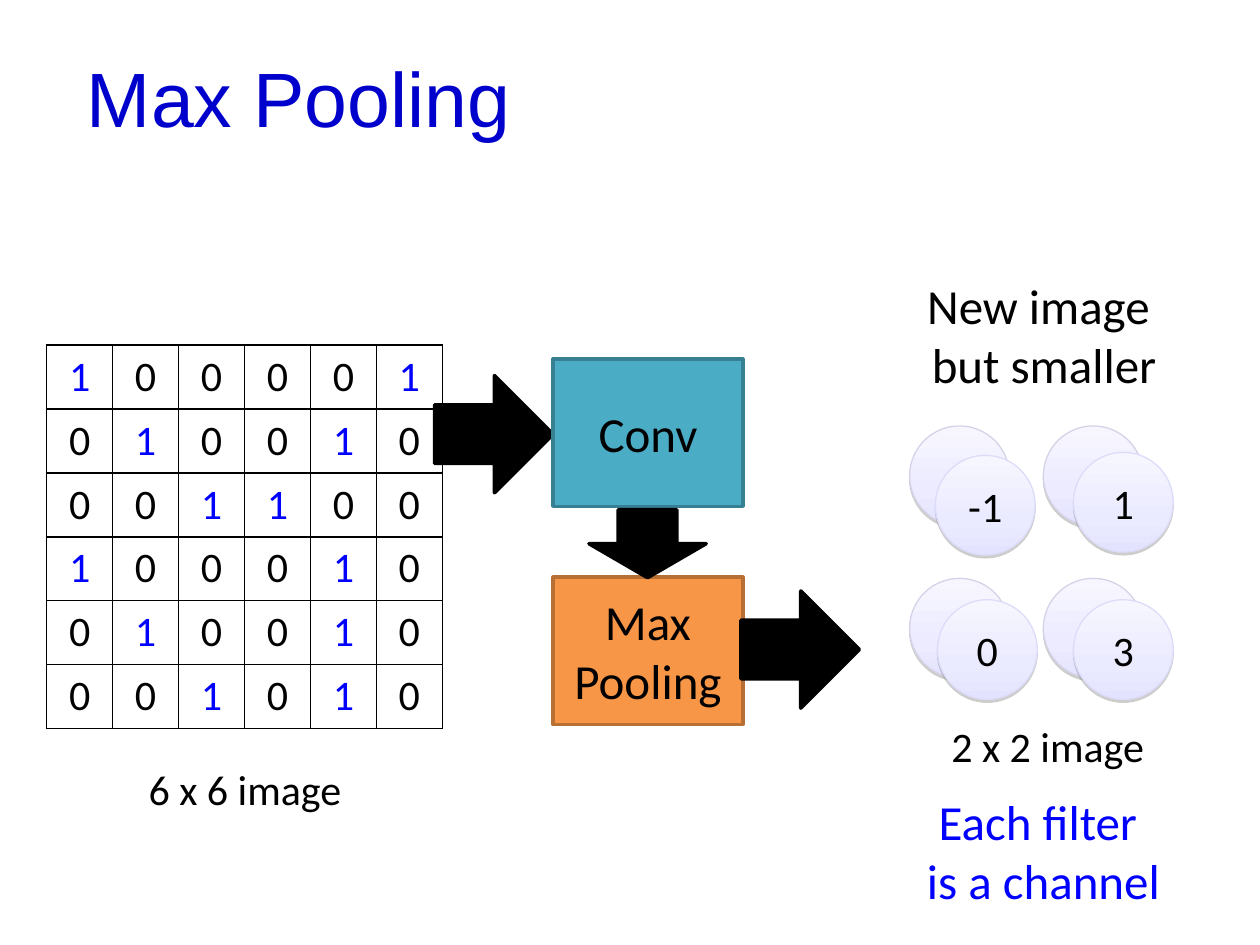
from copy import deepcopy

from pptx import Presentation
from pptx.dml.color import RGBColor
from pptx.enum import shapes, text
from pptx.oxml import parse_xml
from pptx.oxml.ns import nsdecls, qn
from pptx.util import Pt

BLACK = RGBColor(0x00, 0x00, 0x00)
BLUE = RGBColor(0x00, 0x00, 0xFF)
TITLE_BLUE = RGBColor(0x00, 0x00, 0xCC)
TEAL = RGBColor(0x4B, 0xAC, 0xC6)
DARK_TEAL = RGBColor(0x37, 0x7F, 0x92)
ORANGE = RGBColor(0xF7, 0x96, 0x46)
DARK_ORANGE = RGBColor(0xB7, 0x6F, 0x34)
BACK_LINE = RGBColor(0xD4, 0xD3, 0xE7)
FRONT_LINE = RGBColor(0xDC, 0xDC, 0xFA)
BACK_GRADIENT = [RGBColor(0xF7, 0xF6, 0xFF), RGBColor(0xEC, 0xEB, 0xFF), RGBColor(0xE5, 0xE3, 0xFF)]
FRONT_GRADIENT = [RGBColor(0xF6, 0xF6, 0xFF), RGBColor(0xEB, 0xEB, 0xFF), RGBColor(0xE3, 0xE3, 0xFF)]
STOPS = [0, 0.65, 1]

IMAGE = ["100001", "010010", "001100", "100010", "010010", "001010"]
DISC = 57


def write_text(frame, content, size, color=BLACK, font="Calibri", align=text.PP_ALIGN.CENTER):
    frame.text = content
    frame.word_wrap = True
    for paragraph in frame.paragraphs:
        paragraph.alignment = align
        for run in paragraph.runs:
            for name, value in {"name": font, "size": Pt(size)}.items():
                setattr(run.font, name, value)
            run.font.color.rgb = color


def add_shape(kind, left, top, width, height, line_color, line_width):
    """Add a preset shape without shadow, its text anchored in the middle."""
    shape = slide.shapes.add_shape(kind, Pt(left), Pt(top), Pt(width), Pt(height))
    shape.shadow.inherit = False
    shape.line.color.rgb = line_color
    shape.line.width = Pt(line_width)
    shape.text_frame.vertical_anchor = text.MSO_ANCHOR.MIDDLE
    return shape


presentation = Presentation()
presentation.slide_width, presentation.slide_height = Pt(720), Pt(540)
slide = presentation.slides.add_slide(presentation.slide_layouts[5])

# Title
title = slide.shapes.title
title_format = {"left": 49.7, "top": 28.8, "width": 620.6, "height": 104.4}
for name, value in title_format.items():
    setattr(title, name, Pt(value))
write_text(title.text_frame, "Max Pooling", 44, TITLE_BLUE, "Arial", text.PP_ALIGN.LEFT)
for side in ("left", "top", "right", "bottom"):
    setattr(title.text_frame, f"margin_{side}", 0)
title.text_frame.vertical_anchor = text.MSO_ANCHOR.TOP

# Input image as a grid of pixels
size = len(IMAGE)
frame = slide.shapes.add_table(size, size, Pt(26.7), Pt(197.2), Pt(226.2), Pt(219))
grid = frame.table
grid.first_row = grid.horz_banding = False
for column in grid.columns:
    column.width = Pt(37.7)
for row, pixels in zip(grid.rows, IMAGE):
    row.height = Pt(36.5)
    for cell, pixel in zip(row.cells, pixels):
        write_text(cell.text_frame, pixel, 24, BLUE if pixel == "1" else BLACK)
        properties = cell._tc.get_or_add_tcPr()
        for side in ("lnL", "lnR", "lnT", "lnB"):
            properties.append(parse_xml(
                f'<a:{side} {nsdecls("a")} w="12700"><a:solidFill>'
                f'<a:srgbClr val="{BLACK}"/></a:solidFill></a:{side}>'))
        cell.fill.background()

# Two overlapping channels of the pooled image; only the front one has values
back_discs = [(left, top, "") for top in (243.4, 330.5) for left in (519.8, 596.2)]
front_discs = [(534.5, 260.2, "-1"), (613.4, 258.5, "1"), (613.4, 342.7, "3"), (535.7, 342.7, "0")]
channels = [(back_discs, BACK_GRADIENT, BACK_LINE), (front_discs, FRONT_GRADIENT, FRONT_LINE)]
for discs, gradient, line_color in channels:
    for left, top, value in discs:
        disc = add_shape(shapes.MSO_SHAPE.OVAL, left, top, DISC, DISC, line_color, 0.75)
        disc.fill.gradient()
        disc.fill.gradient_angle = 270
        properties = disc._element.spPr
        stop_list = properties.find(".//" + qn("a:gsLst"))
        stop_list.append(deepcopy(stop_list[-1]))
        for stop, position, color in zip(disc.fill.gradient_stops, STOPS, gradient):
            stop.position = position
            stop.color.rgb = color
        properties.find(qn("a:effectLst")).append(parse_xml(
            f'<a:outerShdw {nsdecls("a")} blurRad="0" dist="20000" dir="5400000" rotWithShape="0">'
            '<a:srgbClr val="808080"><a:alpha val="38000"/></a:srgbClr></a:outerShdw>'))
        if value:
            write_text(disc.text_frame, value, 24)

# Captions
captions = [
    ("6 x 6 image", 47.5, 432.7, 185, 36.7, 24, BLACK),
    ("2 x 2 image", 506.2, 408.2, 185, 36.7, 24, BLACK),
    ("Each filter \nis a channel", 506.9, 448.6, 178.6, 75.6, 28, BLUE),
    ("New image \nbut smaller", 506.9, 154.1, 179.3, 74.9, 28, BLACK),
]
for content, left, top, width, height, font_size, color in captions:
    box = slide.shapes.add_textbox(Pt(left), Pt(top), Pt(width), Pt(height))
    write_text(box.text_frame, content, font_size, color)

# Layers and the arrows between them
arrow, rectangle = shapes.MSO_SHAPE.RIGHT_ARROW, shapes.MSO_SHAPE.RECTANGLE
flow = [
    (arrow, 248.4, 214.6, 67.7, 67, 0, BLACK, BLACK, ""),
    (rectangle, 316.1, 205.2, 108.4, 84.2, 0, TEAL, DARK_TEAL, "Conv"),
    (rectangle, 316.1, 329.8, 108.4, 84.2, 0, ORANGE, DARK_ORANGE, "Max\nPooling"),
    (arrow, 423.4, 337.7, 67.7, 67, 0, BLACK, BLACK, ""),
    (arrow, 350.6, 277.2, 38.9, 67, 90, BLACK, BLACK, ""),
]
for kind, left, top, width, height, rotation, fill, line_color, label in flow:
    shape = add_shape(kind, left, top, width, height, line_color, 2)
    shape.rotation = rotation
    shape.fill.solid()
    shape.fill.fore_color.rgb = fill
    if label:
        write_text(shape.text_frame, label, 28)

presentation.save("out.pptx")
